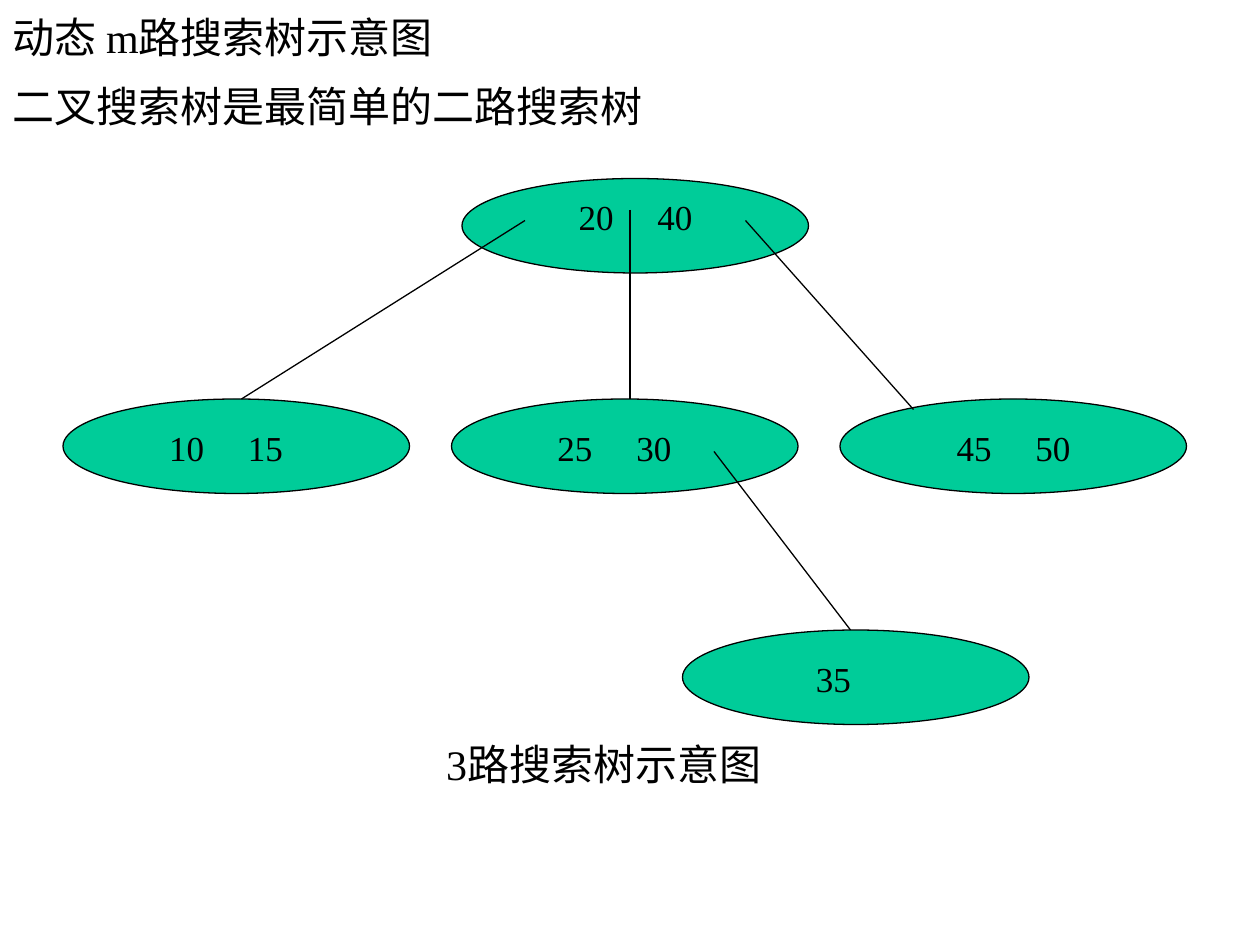
from dataclasses import dataclass

from lxml.etree import SubElement
from pptx import Presentation
from pptx.dml.color import RGBColor
from pptx.enum.shapes import MSO_CONNECTOR, MSO_SHAPE
from pptx.enum.text import MSO_ANCHOR, MSO_AUTO_SIZE, PP_ALIGN
from pptx.oxml.ns import qn
from pptx.util import Pt

PX = 7620
TITLE_ONLY = 5


@dataclass(frozen=True)
class Theme:
    """Colours, font and type sizes of the slide."""

    font: str = "Times New Roman"
    ink: RGBColor = RGBColor(0, 0, 0)
    node: RGBColor = RGBColor(0x00, 0xCC, 0x99)
    heading: int = 24
    key: int = 20
    line: float = 0.75


THEME = Theme()
NODE_SIZE = (330, 90)
LABEL_SIZE = (230, 53)
KEY_TAB = 75

NODES = [
    {"at": (440, 170), "keys": ("20", "40"), "label": (50, 10), "inset": 61},
    {"at": (60, 380), "keys": ("10", "15"), "label": (40, 20), "inset": 61},
    {"at": (430, 380), "keys": ("25", "30"), "label": (40, 20), "inset": 61},
    {"at": (800, 380), "keys": ("45", "50"), "label": (50, 20), "inset": 61},
    {"at": (650, 600), "keys": ("35",), "label": (50, 20), "inset": 77},
]
BRANCHES = [
    ((500, 210), (230, 380)),
    ((600, 200), (600, 380)),
    ((710, 210), (870, 390)),
    ((680, 430), (810, 600)),
]


def emu(values):
    """Turn px lengths into EMU."""
    return [value * PX for value in values]


def apply(target, values):
    """Set each named attribute on the target."""
    for name, value in values.items():
        setattr(target, name, value)


def write_text(shape, text, size, align=PP_ALIGN.LEFT, inset=12, tab=None):
    """Write one formatted paragraph into a shape."""
    frame = shape.text_frame
    apply(frame, {
        "word_wrap": True,
        "auto_size": MSO_AUTO_SIZE.NONE,
        "vertical_anchor": MSO_ANCHOR.MIDDLE,
        "margin_left": inset * PX,
        "margin_right": 12 * PX,
        "margin_top": 6 * PX,
        "margin_bottom": 6 * PX,
    })
    frame.text = text
    paragraph = frame.paragraphs[0]
    paragraph.alignment = align
    if tab:
        tabs = SubElement(paragraph._p.get_or_add_pPr(), qn("a:tabLst"))
        SubElement(tabs, qn("a:tab"), pos=str(tab * PX), algn="l")
    font = paragraph.runs[0].font
    apply(font, {"name": THEME.font, "size": Pt(size)})
    font.color.rgb = THEME.ink


def add_title(slide, box, text):
    """Place and format the title placeholder."""
    title = slide.shapes.title
    apply(title, dict(zip(("left", "top", "width", "height"), emu(box))))
    write_text(title, text, THEME.heading)


def add_heading(slide, box, text, align):
    """Add a line of heading text in the box."""
    write_text(slide.shapes.add_textbox(*emu(box)), text, THEME.heading, align)


def add_node(slide, at, keys, label, inset):
    """Add an ellipse with its keys set at tab stops."""
    ellipse = slide.shapes.add_shape(MSO_SHAPE.OVAL, *emu(at + NODE_SIZE))
    ellipse.shadow.inherit = False
    ellipse.fill.solid()
    ellipse.fill.fore_color.rgb = THEME.node
    ellipse.line.color.rgb = THEME.ink
    ellipse.line.width = Pt(THEME.line)
    corner = (at[0] + label[0], at[1] + label[1])
    textbox = slide.shapes.add_textbox(*emu(corner + LABEL_SIZE))
    write_text(textbox, "\t".join(keys), THEME.key, inset=inset, tab=KEY_TAB)


def add_branch(slide, start, end):
    """Add a straight line from a parent to a child."""
    branch = slide.shapes.add_connector(MSO_CONNECTOR.STRAIGHT, *emu(start + end))
    branch.line.color.rgb = THEME.ink
    branch.line.width = Pt(THEME.line)
    SubElement(branch._element.spPr, qn("a:effectLst"))


def add_tree(slide):
    """Add the nodes and then the branches over them."""
    for node in NODES:
        add_node(slide, **node)
    for start, end in BRANCHES:
        add_branch(slide, start, end)


def main():
    """Build and save the slide."""
    presentation = Presentation()
    apply(presentation, {"slide_width": 1200 * PX, "slide_height": 900 * PX})
    slide = presentation.slides.add_slide(presentation.slide_layouts[TITLE_ONLY])
    add_title(slide, (0, 0, 1020, 70), "动态 m路搜索树示意图")
    add_heading(slide, (0, 70, 1150, 62), "二叉搜索树是最简单的二路搜索树", PP_ALIGN.LEFT)
    add_tree(slide)
    add_heading(slide, (0, 696, 1150, 62), "3路搜索树示意图", PP_ALIGN.CENTER)
    presentation.save("out.pptx")


if __name__ == "__main__":
    main()
